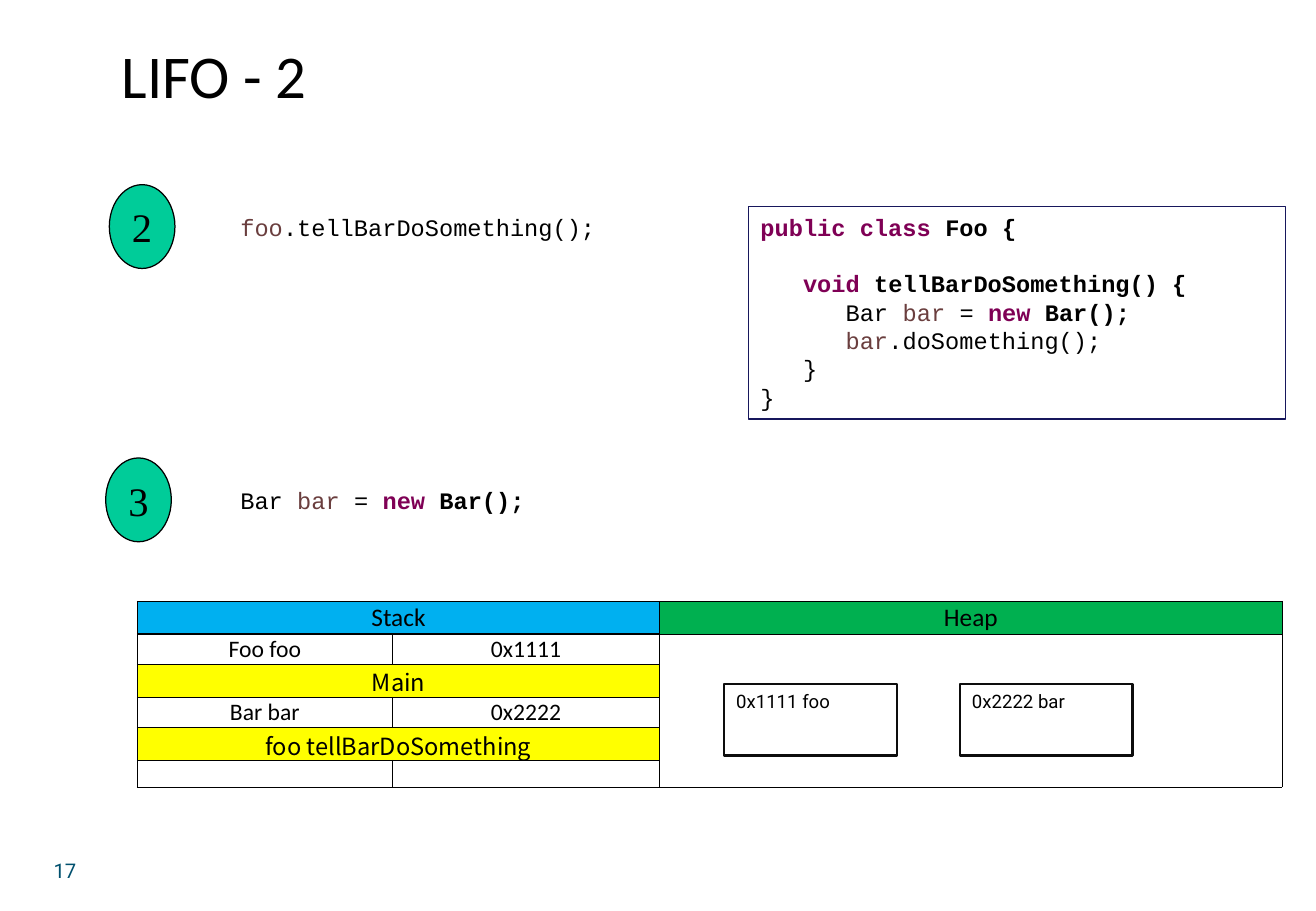
from lxml import etree
from pptx import Presentation
from pptx.dml.color import RGBColor
from pptx.enum.shapes import MSO_SHAPE
from pptx.enum.text import MSO_ANCHOR, PP_ALIGN
from pptx.oxml.ns import qn
from pptx.util import Emu, Pt

RECTANGLE, OVAL = MSO_SHAPE.RECTANGLE, MSO_SHAPE.OVAL
TOP, MIDDLE = MSO_ANCHOR.TOP, MSO_ANCHOR.MIDDLE
LEFT, CENTER = PP_ALIGN.LEFT, PP_ALIGN.CENTER
TITLE_ONLY = 5
EMU_PER_PX = 9144
NO_TABLE_STYLE = "{2D5ABB26-0587-4C30-8999-92F81FD0307C}"

BLACK, WHITE, YELLOW = "000000", "FFFFFF", "FFFF00"
KEYWORD, VARIABLE = "7F0055", "6A3E3E"
BODY_FONT, SPAN_FONT, CODE_FONT = "Calibri", "Noto Sans CJK TC", "Courier New"
CODE_LINE = Pt(16.8)

CALL = [("foo", VARIABLE, False), (".tellBarDoSomething();", BLACK, False)]
CREATE = [("Bar ", BLACK, False), ("bar", VARIABLE, False), (" = ", BLACK, False),
          ("new", KEYWORD, True), (" Bar();", BLACK, True)]
FOO_CLASS = [
    [("public class", KEYWORD, True), (" Foo {", BLACK, True)],
    [("   void ", KEYWORD, True), ("tellBarDoSomething() {", BLACK, True)],
    [("      Bar ", BLACK, False)] + CREATE[1:],
    [("      bar", VARIABLE, False), (".doSomething();", BLACK, False)],
    [("   }", BLACK, False)],
    [("}", BLACK, False)],
]
METHOD_LINE = 1

COLUMNS = [210, 220, 512]
ROWS = [27, 25, 27, 25, 27, 22]
MEMORY = [
    ["Stack", "", "Heap"],
    ["Foo foo", "0x1111", ""],
    ["Main", "", ""],
    ["Bar bar", "0x2222", ""],
    ["foo tellBarDoSomething", "", ""],
    ["", "", ""],
]
SPAN_ROWS = (2, 4)


def px(value):
    return Emu(value * EMU_PER_PX)


def box(left, top, width, height):
    return px(left), px(top), px(width), px(height)


def color(value):
    return RGBColor.from_string(value)


def style_run(run, font, size, text_color=BLACK, bold=False):
    run.font.name = font
    run.font.size = Pt(size)
    run.font.bold = bold
    run.font.color.rgb = color(text_color)


def set_text(frame, text, font, size, text_color=BLACK, align=LEFT, anchor=MIDDLE):
    frame.text = text
    frame.word_wrap = True
    frame.vertical_anchor = anchor
    paragraph = frame.paragraphs[0]
    paragraph.alignment = align
    for run in paragraph.runs:
        style_run(run, font, size, text_color)


def clear_margins(target):
    target.margin_left = target.margin_right = 0
    target.margin_top = target.margin_bottom = 0


def add_title(slide, text):
    title = slide.shapes.title
    title.left, title.top, title.width, title.height = box(90, 26, 893, 71)
    set_text(title.text_frame, text, BODY_FONT, 36)


def add_slide_number(slide, text):
    number = slide.shapes.add_textbox(*box(23, 705, 61, 23))
    clear_margins(number.text_frame)
    set_text(number.text_frame, text, "Roboto", 12, "00506E", CENTER)


def add_outlined(slide, kind, bounds, line_color, line_width, fill=None):
    shape = slide.shapes.add_shape(kind, *box(*bounds))
    shape.shadow.inherit = False
    if fill:
        shape.fill.solid()
        shape.fill.fore_color.rgb = color(fill)
    else:
        shape.fill.background()
    shape.line.color.rgb = color(line_color)
    shape.line.width = Pt(line_width)
    return shape


def write_code(frame, lines):
    frame.word_wrap = True
    frame.vertical_anchor = TOP
    for index, pieces in enumerate(lines):
        paragraph = frame.add_paragraph() if index else frame.paragraphs[0]
        paragraph.alignment = LEFT
        paragraph.line_spacing = CODE_LINE
        for text, text_color, bold in pieces:
            run = paragraph.add_run()
            run.text = text
            style_run(run, CODE_FONT, 14, text_color, bold)


def add_step(slide, label, left, top, pieces):
    badge = add_outlined(slide, OVAL, (left, top, 54, 69), BLACK, 0.75, "00CC99")
    clear_margins(badge.text_frame)
    set_text(badge.text_frame, label, "Times New Roman", 24, align=CENTER)
    statement = slide.shapes.add_textbox(*box(188, top + 18, 364, 34))
    write_code(statement.text_frame, [pieces])


def add_class_box(slide):
    listing = add_outlined(slide, RECTANGLE, (616, 170, 442, 175), "17175C", 0.75)
    write_code(listing.text_frame, FOO_CLASS)
    listing.text_frame.paragraphs[METHOD_LINE].space_before = CODE_LINE


def add_heap_object(slide, left, text):
    heap_object = add_outlined(slide, RECTANGLE, (left, 563, 142, 59), "0D0D0D", 1.25, WHITE)
    set_text(heap_object.text_frame, text, "Roboto", 11, anchor=TOP)


def set_borders(cell, bottom_width):
    properties = cell._tc.get_or_add_tcPr()
    for side, width in (("L", 0.5), ("R", 0.5), ("T", 0.5), ("B", bottom_width)):
        line = etree.SubElement(properties, qn(f"a:ln{side}"), w=str(Pt(width)))
        fill = etree.SubElement(line, qn("a:solidFill"))
        etree.SubElement(fill, qn("a:srgbClr"), val=BLACK)


def cell_fill(row, column):
    if row == 0:
        return "00B050" if column == 2 else "00B0F0"
    return YELLOW if row in SPAN_ROWS and column < 2 else WHITE


def fill_cell(cell, row, column):
    text = MEMORY[row][column]
    clear_margins(cell)
    cell.vertical_anchor = MIDDLE
    if text:
        font = SPAN_FONT if row in SPAN_ROWS else BODY_FONT
        set_text(cell.text_frame, text, font, 14 if row else 15, align=CENTER)
        cell.vertical_anchor = MIDDLE
    else:
        etree.SubElement(cell.text_frame.paragraphs[0]._p, qn("a:endParaRPr"), sz="1000")
    if not cell.is_spanned:
        set_borders(cell, 1 if row == 0 and column == 0 else 0.5)
    cell.fill.solid()
    cell.fill.fore_color.rgb = color(cell_fill(row, column))


def add_memory_table(slide):
    bounds = box(113, 495, sum(COLUMNS), sum(ROWS))
    table = slide.shapes.add_table(len(ROWS), len(COLUMNS), *bounds).table
    table.first_row = table.horz_banding = False
    table._tbl.tblPr.find(qn("a:tableStyleId")).text = NO_TABLE_STYLE
    for column, width in enumerate(COLUMNS):
        table.columns[column].width = px(width)
    for row, height in enumerate(ROWS):
        table.rows[row].height = px(height)
    for row in (0, *SPAN_ROWS):
        table.cell(row, 0).merge(table.cell(row, 1))
    table.cell(1, 2).merge(table.cell(len(ROWS) - 1, 2))
    for row in range(len(ROWS)):
        for column in range(len(COLUMNS)):
            fill_cell(table.cell(row, column), row, column)


def main():
    presentation = Presentation()
    presentation.slide_width, presentation.slide_height = px(1083), px(750)
    slide = presentation.slides.add_slide(presentation.slide_layouts[TITLE_ONLY])
    add_title(slide, "LIFO - 2")
    add_slide_number(slide, "17")
    add_step(slide, "2", 90, 152, CALL)
    add_class_box(slide)
    add_step(slide, "3", 87, 377, CREATE)
    add_memory_table(slide)
    add_heap_object(slide, 596, "0x1111 foo")
    add_heap_object(slide, 790, "0x2222 bar")
    presentation.save("out.pptx")


if __name__ == "__main__":
    main()
